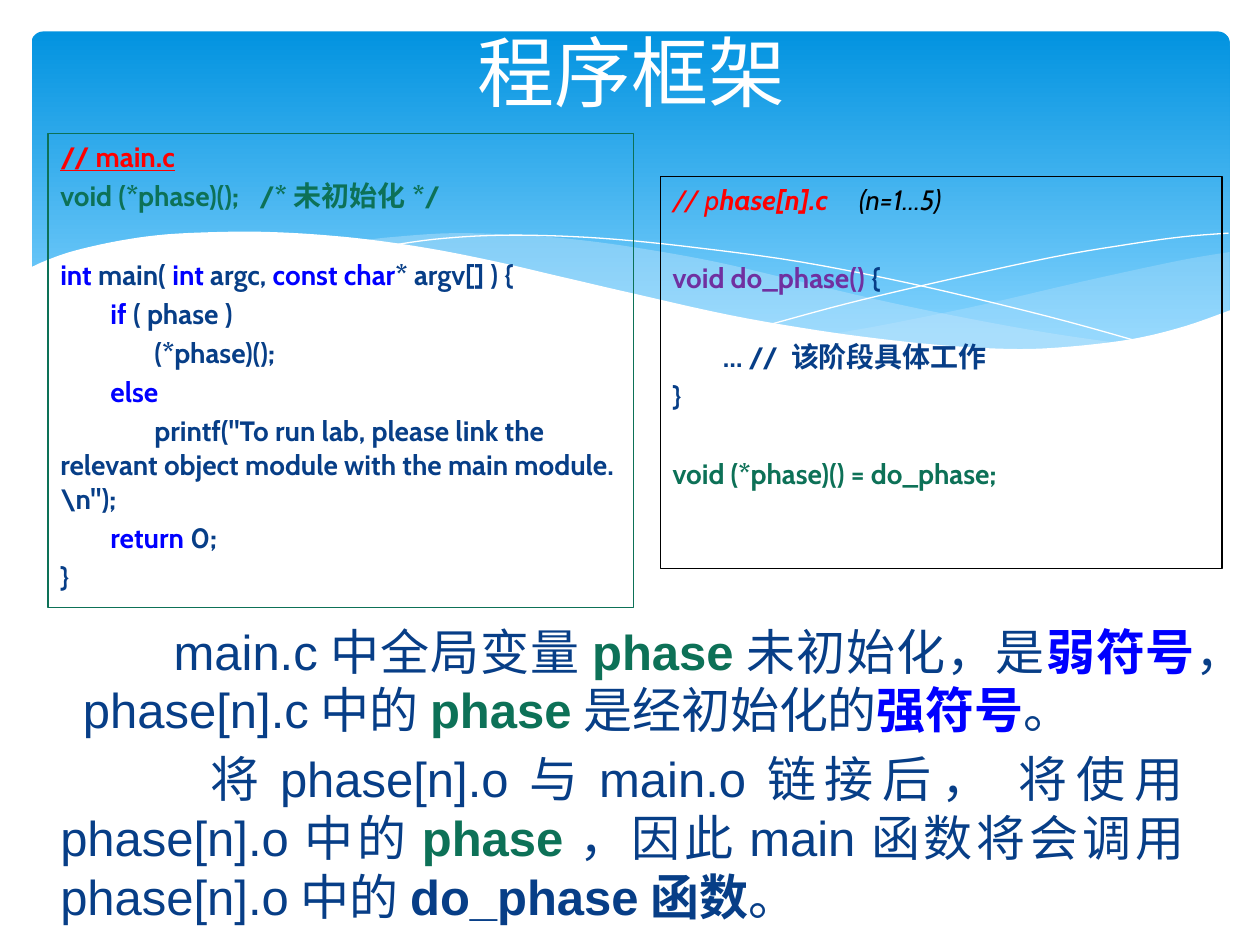
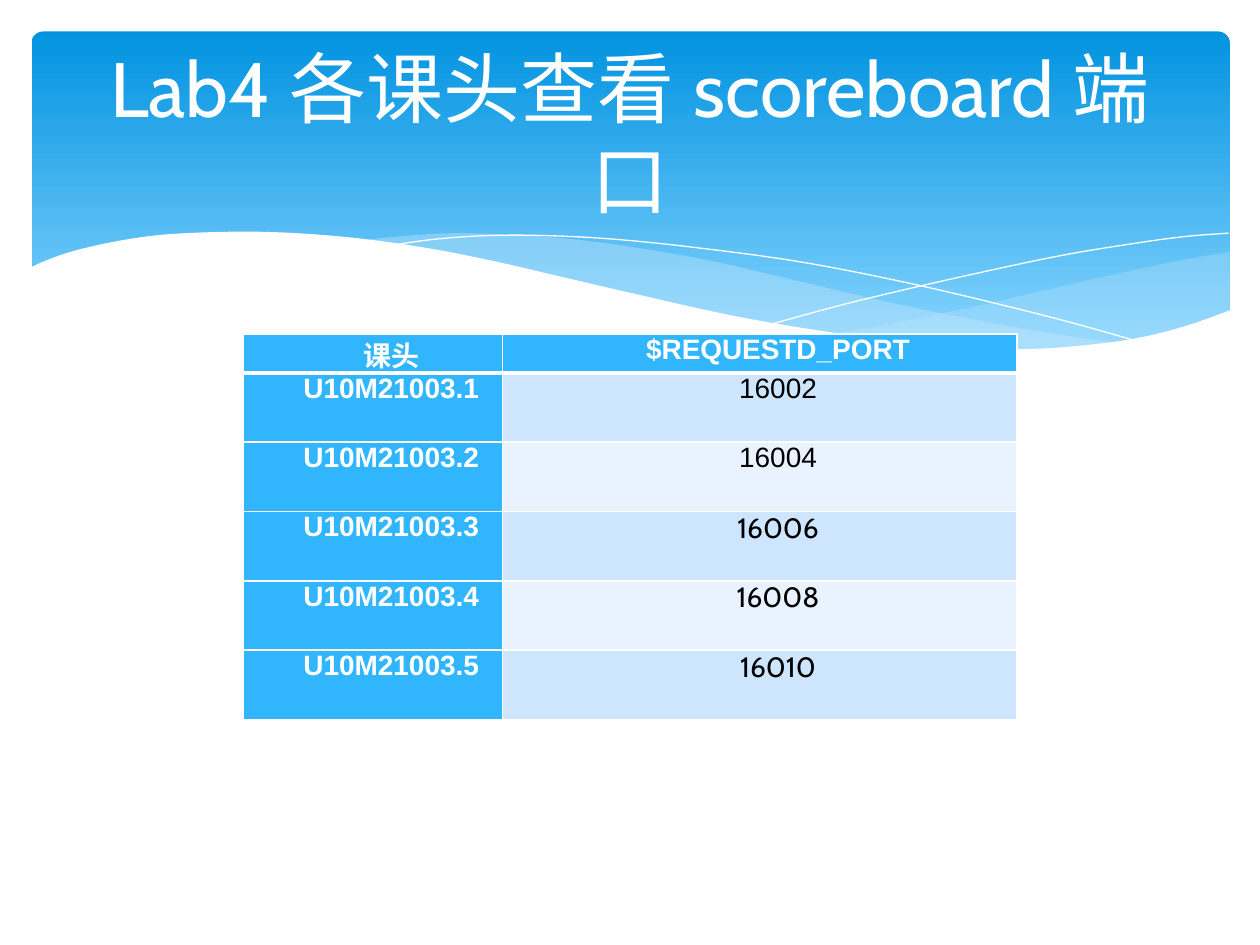
"""Build two lab slides: the program framework and the scoreboard ports."""
from dataclasses import dataclass

from lxml import etree
from pptx import Presentation
from pptx import util as u
from pptx.dml import color
from pptx.enum import shapes, text
from pptx.oxml import ns


@dataclass(frozen=True)
class Theme:
    white: str = "FFFFFF"
    black: str = "000000"
    navy: str = "073E87"
    green: str = "0D7157"
    blue: str = "0000FF"
    red: str = "FF0000"
    purple: str = "7030A0"
    band_top: str = "0293E0"
    band_bottom: str = "83D3FE"
    wave: str = "C6E7FC"
    header: str = "31B6FD"
    stripes: tuple = ("CEE5FE", "E8F3FF")
    heading_font: str = "Cabin"
    body_font: str = "Arial"
    title_size: int = 44
    body_size: int = 28
    small_size: int = 16


THEME = Theme()

STYLES = {
    "title": (THEME.white, ""),
    "plain": (THEME.navy, ""),
    "code": (THEME.navy, "b"),
    "key": (THEME.blue, "b"),
    "var": (THEME.green, "b"),
    "func": (THEME.purple, "b"),
    "file": (THEME.red, "bu"),
    "file_thin": (THEME.red, "i"),
    "file_bold": (THEME.red, "bi"),
    "note": (THEME.black, "i"),
    "head": (THEME.white, "b"),
    "value": (THEME.black, ""),
}

FRAMEWORK_TITLE = "程序框架"
PORTS_TITLE = "Lab4各课头查看scoreboard端口"
BLANK = ()

MAIN_CODE = [
    [("// main.c", "file")],
    [("void (*phase)();\t/*未初始化*/", "var")],
    BLANK,
    [("int ", "key"), ("main( ", "code"), ("int ", "key"), ("argc, ", "code"),
     ("const char", "key"), ("* argv[] ) {", "code")],
    [("        if ", "key"), ("( phase )", "code")],
    [("               (*phase)();", "code")],
    [("        else", "key")],
    [('               printf("To run lab, please link the relevant object module '
      'with the main module.\\n");', "code")],
    [("        return ", "key"), ("0;", "code")],
    [("}", "code")],
]

PHASE_CODE = [
    [("// p", "file_thin"), ("hase[n].c\t", "file_bold"), ("(n=1…5)", "note")],
    BLANK,
    [("void do_phase() ", "func"), ("{", "code")],
    BLANK,
    [("        … // 该阶段具体工作", "code")],
    [("}", "code")],
    BLANK,
    [("void (*phase)() = do_phase;", "var")],
]

CODE_BOXES = [
    ((0.38, 1.06, 4.65, 3.76), THEME.green, 1.58, MAIN_CODE),
    ((5.24, 1.4, 4.46, 3.11), THEME.black, 1.48, PHASE_CODE),
]

EXPLANATION = [
    (0.9, [("main.c中全局变量", "plain"), ("phase", "var"), ("未初始化，是", "plain"),
           ("弱符号", "key"), ("， phase[n].c中的", "plain"), ("phase", "var"),
           ("是经初始化的", "plain"), ("强符号", "key"), ("。", "plain")]),
    (1.19, [("将phase[n].o与main.o链接后， 将使用phase[n].o中的", "plain"), ("phase", "var"),
            ("，因此main函数将会调用phase[n].o中的", "plain"),
            ("do_phase函数", "code"), ("。", "plain")]),
]

PORT_HEADER = ("课头", "$REQUESTD_PORT")
PORTS = [16002, 16004, 16006, 16008, 16010]
FIRST_CABIN_PORT = 16006
PORT_COLUMNS = (2.06, 4.08)
PORT_ROWS = [0.31] + [0.55] * len(PORTS)

RIGHT_WAVE = [
    [(9.76, 2), (9.35, 2.07), (8.61, 2.23), (7.79, 2.42), (7.06, 2.57), (6.61, 2.65)],
    [(6.61, 2.65), (7.05, 2.71), (7.57, 2.76), (8.14, 2.78), (8.63, 2.75), (9.05, 2.69),
     (9.42, 2.59), (9.76, 2.47)],
]
MIDDLE_WAVE = [
    [(8.93, 2.73), (8.37, 2.65), (7.75, 2.54), (7.06, 2.4), (6.29, 2.22), (5.69, 2.08),
     (5.14, 1.98), (4.65, 1.91), (4.2, 1.87), (3.61, 1.85), (3.13, 1.88), (2.86, 1.91)],
    [(2.86, 1.91), (3.42, 1.99), (4.04, 2.11), (4.91, 2.32), (5.66, 2.48), (6.34, 2.61),
     (6.95, 2.7), (7.48, 2.76), (7.96, 2.78), (8.48, 2.77), (8.93, 2.73)],
]
FALLING_LINE = [[(3.09, 1.95), (3.44, 1.9), (3.87, 1.87), (4.33, 1.87), (4.89, 1.9), (5.56, 1.97),
                 (6.36, 2.08), (7.27, 2.26), (8.31, 2.51), (9.07, 2.72)]]
RISING_LINE = [[(6.13, 2.57), (6.72, 2.41), (7.48, 2.23), (8.36, 2.04), (8.95, 1.94), (9.38, 1.88),
                (9.75, 1.85)]]
WHITE_WAVE = [
    [(9.77, 2.46), (9.4, 2.59), (8.99, 2.69), (8.5, 2.75), (8.09, 2.77), (7.61, 2.75),
     (7.08, 2.7), (6.48, 2.62), (5.79, 2.5), (5.03, 2.33), (4.47, 2.2), (3.91, 2.07),
     (3.4, 1.97), (2.92, 1.9), (2.5, 1.86), (2.11, 1.84), (1.77, 1.84), (1.32, 1.86),
     (0.95, 1.91), (0.59, 1.99), (0.36, 2.07), (0.23, 2.13)],
    [(0.23, 3.29), (9.77, 3.29)],
]
WAVES = [
    (RIGHT_WAVE, THEME.wave, 29),
    (MIDDLE_WAVE, THEME.wave, 40),
    (FALLING_LINE, None, 100),
    (RISING_LINE, None, 100),
    (WHITE_WAVE, THEME.white, 100),
]


def rgb(value):
    return color.RGBColor.from_string(value)


def add_element(parent, tag, **attributes):
    return etree.SubElement(parent, ns.qn(tag), **attributes)


def smooth(points, steps=5):
    """Return points along a Catmull-Rom curve through the given points."""
    padded = [points[0], *points, points[-1]]
    curve = [points[0]]
    for a, b, c, d in zip(padded, padded[1:], padded[2:], padded[3:]):
        for step in range(1, steps + 1):
            t = step / steps
            curve.append(tuple(
                0.5 * (2 * q + (r - p) * t + (2 * p - 5 * q + 4 * r - s) * t ** 2
                       + (3 * q - p - 3 * r + s) * t ** 3)
                for p, q, r, s in zip(a, b, c, d)))
    return curve


def add_wave(slide, curves, fill, opacity):
    points = [(u.Inches(x), u.Inches(y)) for curve in curves
              for x, y in (smooth(curve) if len(curve) > 2 else curve)]
    builder = slide.shapes.build_freeform(*points[0], scale=1)
    builder.add_line_segments(points[1:], close=fill is not None)
    shape = builder.convert_to_shape()
    shape.shadow.inherit = False
    if fill is None:
        shape.fill.background()
        shape.line.color.rgb = rgb(THEME.white)
        shape.line.width = 0
        return
    shape.fill.solid()
    shape.fill.fore_color.rgb = rgb(fill)
    shape.line.fill.background()
    if opacity < 100:
        swatch = next(shape.element.spPr.iter(ns.qn("a:srgbClr")))
        add_element(swatch, "a:alpha", val=str(opacity * 1000))


def add_band(slide):
    band = slide.shapes.add_shape(shapes.MSO_SHAPE.ROUNDED_RECTANGLE,
                                  *map(u.Inches, (0.25, 0.25, 9.51, 2.7)))
    band.adjustments[0] = 0.034
    band.shadow.inherit = False
    band.line.fill.background()
    band.fill.gradient()
    band.fill.gradient_angle = 270
    stops = zip(band.fill.gradient_stops, (0, 0.9), (THEME.band_top, THEME.band_bottom))
    for stop, position, value in stops:
        stop.position = position
        stop.color.rgb = rgb(value)
    for wave in WAVES:
        add_wave(slide, *wave)


def add_runs(paragraph, runs, font_name, size):
    for words, style in runs:
        run = paragraph.add_run()
        run.text = words
        value, marks = STYLES[style]
        font = run.font
        font.name, font.size = font_name, u.Pt(size)
        font.color.rgb = rgb(value)
        font.bold, font.italic, font.underline = ("b" in marks, "i" in marks, "u" in marks)


def next_paragraph(frame, first):
    return frame.paragraphs[0] if first else frame.add_paragraph()


def add_text_box(slide, box):
    frame = slide.shapes.add_textbox(*map(u.Inches, box)).text_frame
    frame.word_wrap = True
    return frame


def add_title(slide, words, box):
    frame = add_text_box(slide, box)
    frame.vertical_anchor = text.MSO_ANCHOR.MIDDLE
    paragraph = frame.paragraphs[0]
    paragraph.alignment = text.PP_ALIGN.CENTER
    add_runs(paragraph, [(words, "title")], THEME.heading_font, THEME.title_size)


def add_code_box(slide, box, border, tab, lines):
    shape = slide.shapes.add_shape(shapes.MSO_SHAPE.RECTANGLE, *map(u.Inches, box))
    shape.shadow.inherit = False
    shape.fill.background()
    shape.line.color.rgb = rgb(border)
    shape.line.width = u.Pt(0.75)
    frame = shape.text_frame
    frame.word_wrap = True
    frame.vertical_anchor = text.MSO_ANCHOR.TOP
    gap = 3.2
    blank_line = 22.4
    space = 0
    for index, runs in enumerate(lines):
        if not runs:
            space += blank_line
            continue
        paragraph = next_paragraph(frame, index == 0)
        paragraph.alignment = text.PP_ALIGN.LEFT
        paragraph.space_before = u.Pt(space)
        if any("\t" in words for words, _ in runs):
            tabs = add_element(paragraph._p.get_or_add_pPr(), "a:tabLst")
            add_element(tabs, "a:tab", pos=str(u.Inches(tab)), algn="l")
        add_runs(paragraph, runs, THEME.heading_font, THEME.small_size)
        space = gap


def add_explanation(slide):
    frame = add_text_box(slide, (0.38, 4.88, 9.21, 2.52))
    for index, (indent, runs) in enumerate(EXPLANATION):
        paragraph = next_paragraph(frame, index == 0)
        paragraph.alignment = text.PP_ALIGN.JUSTIFY
        paragraph.space_before = u.Pt(5.6 if index else 0)
        paragraph._p.get_or_add_pPr().set("indent", str(u.Inches(indent)))
        add_runs(paragraph, runs, THEME.body_font, THEME.body_size)


def style_cell(cell, words, style, font_name, fill, widths):
    cell.margin_left = cell.margin_right = u.Inches(0.07)
    cell.margin_top = cell.margin_bottom = 0
    properties = cell._tc.get_or_add_tcPr()
    for side, width in widths.items():
        line = add_element(properties, f"a:ln{side}", w=str(u.Pt(width)))
        add_element(add_element(line, "a:solidFill"), "a:srgbClr", val=THEME.white)
    cell.fill.solid()
    cell.fill.fore_color.rgb = rgb(fill)
    paragraph = cell.text_frame.paragraphs[0]
    paragraph.alignment = text.PP_ALIGN.CENTER
    paragraph._p.get_or_add_pPr().set("indent", str(u.Inches(0.29)))
    add_runs(paragraph, [(words, style)], font_name, THEME.small_size)


def add_port_table(slide):
    box = (1.93, 2.65, sum(PORT_COLUMNS), sum(PORT_ROWS))
    table = slide.shapes.add_table(len(PORT_ROWS), len(PORT_COLUMNS), *map(u.Inches, box)).table
    for column, width in zip(table.columns, PORT_COLUMNS):
        column.width = u.Inches(width)
    for row, height in zip(table.rows, PORT_ROWS):
        row.height = u.Inches(height)
    for column, words in enumerate(PORT_HEADER):
        style_cell(table.cell(0, column), words, "head", THEME.body_font, THEME.header,
                   {"L": 1, "R": 1, "T": 1, "B": 3})
    for row, port in enumerate(PORTS, 1):
        widths = {"L": 1, "R": 1, "T": 3 if row == 1 else 1, "B": 1}
        font_name = THEME.heading_font if port >= FIRST_CABIN_PORT else THEME.body_font
        style_cell(table.cell(row, 0), f"U10M21003.{row}", "head", THEME.body_font,
                   THEME.header, widths)
        style_cell(table.cell(row, 1), str(port), "value", font_name,
                   THEME.stripes[(row - 1) % 2], widths)


def main():
    presentation = Presentation()
    presentation.slide_width, presentation.slide_height = u.Inches(10), u.Inches(7.5)
    blank_layout = presentation.slide_layouts[6]

    framework = presentation.slides.add_slide(blank_layout)
    add_band(framework)
    add_explanation(framework)
    add_title(framework, FRAMEWORK_TITLE, (0.51, 0.09, 9, 0.94))
    for code_box in CODE_BOXES:
        add_code_box(framework, *code_box)

    ports = presentation.slides.add_slide(blank_layout)
    add_band(ports)
    add_port_table(ports)
    add_title(ports, PORTS_TITLE, (0.5, 0.37, 9, 1.37))

    presentation.save("out.pptx")


if __name__ == "__main__":
    main()
